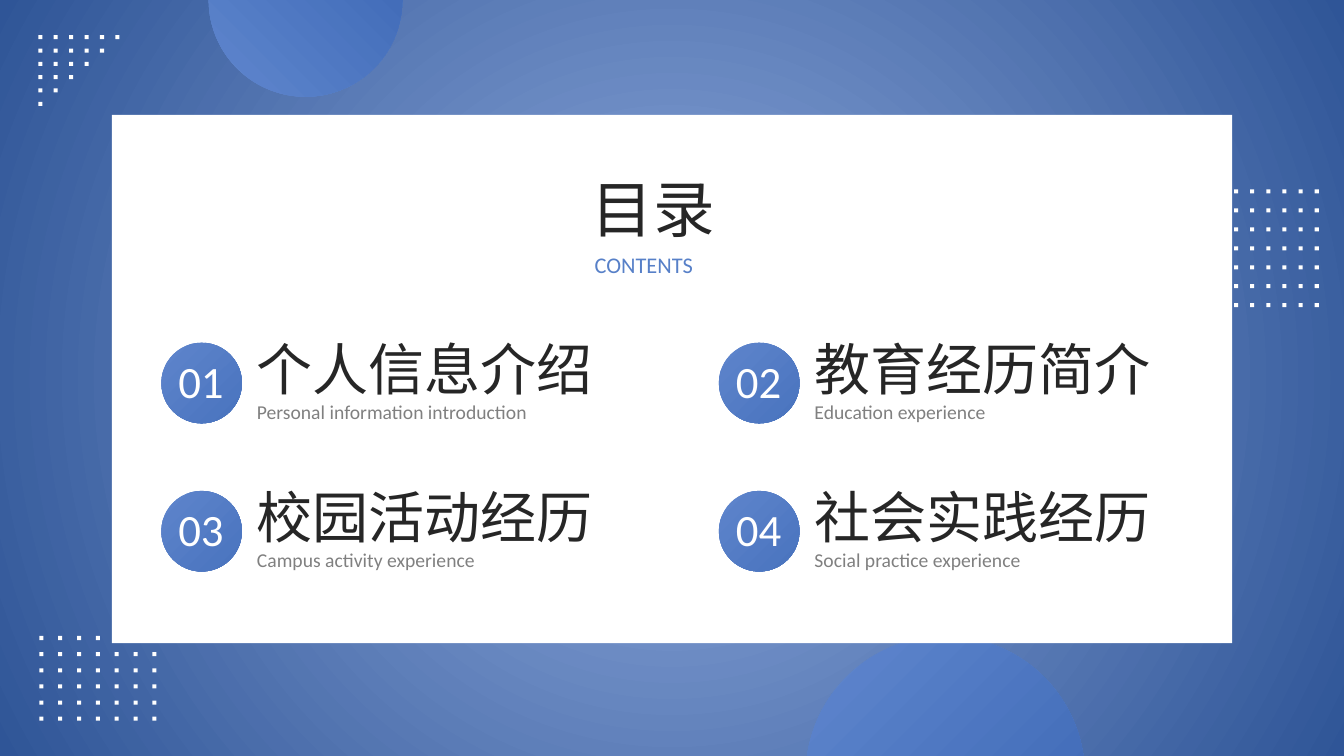
import pptx
import pptx.util
import pptx.dml.color
import pptx.enum.shapes
import pptx.enum.text
import pptx.oxml
import pptx.oxml.ns
import lxml.etree

WIDTH, HEIGHT = 13.33, 7.5
FONT = "Calibri"
WHITE, INK, BLUE, GREY = "FFFFFF", "262626", "5780C8", "808080"
BACKDROP = ("8FAADC", "2F5597")
BUBBLE = ("6087CE", "3864B2")
BADGE = ("5E85CC", "4973BE")

HEADING = [
    ("目录", (5.77, 1.65, 1.76, 0.84), 44, INK),
    ("CONTENTS", (5.8, 2.44, 1.65, 0.37), 16, BLUE),
]
SECTIONS = [
    ("01", "个人信息介绍", "Personal information introduction"),
    ("02", "教育经历简介", "Education experience"),
    ("03", "校园活动经历", "Campus activity experience"),
    ("04", "社会实践经历", "Social practice experience"),
]
SECTION_LEFT, SECTION_TOP = 1.6, 3.4
COLUMN_STEP, ROW_STEP = 5.53, 1.47

BUBBLES = [((2.07, -0.96, 1.92, 1.92), 270), ((7.99, 6.31, 2.77, 2.77), 0)]
DOT = 0.04
DOT_FIELDS = [
    ((0.38, 0.35), (0.153, 0.132), (6, 5, 4, 3, 2, 1)),
    ((0.39, 6.31), (0.187, 0.16), (4, 7, 7, 7, 7, 7)),
    ((12.24, 1.88), (0.16, 0.188), (6,) * 7),
]

RECT = pptx.enum.shapes.MSO_SHAPE.RECTANGLE
OVAL = pptx.enum.shapes.MSO_SHAPE.OVAL


def rgb(code):
    """Turn a hex string into a colour."""
    return pptx.dml.color.RGBColor.from_string(code)


def inches(box):
    """Turn a box in inches into lengths."""
    return [pptx.util.Inches(v) for v in box]


def add_shape(s, kind, box, colors, rotation=0):
    """Add a plain shape with one colour or a two-colour gradient."""
    sp = s.shapes.add_shape(kind, *inches(box))
    sp.shadow.inherit = False
    sp.line.fill.background()
    sp.rotation = rotation
    if isinstance(colors, str):
        sp.fill.solid()
        sp.fill.fore_color.rgb = rgb(colors)
    else:
        sp.fill.gradient()
        sp.fill.gradient_angle = 315
        for stop, position, code in zip(sp.fill.gradient_stops, (0, 1), colors):
            stop.position = position
            stop.color.rgb = rgb(code)
    return sp


def make_radial(sp):
    """Make a linear gradient spread from the centre."""
    qn = pptx.oxml.ns.qn
    lin = sp._element.spPr.find(".//" + qn("a:lin"))
    radial = lxml.etree.Element(qn("a:path"), path="circle")
    lxml.etree.SubElement(
        radial, qn("a:fillToRect"), l="50000", t="50000", r="50000", b="50000"
    )
    lin.getparent().replace(lin, radial)


def add_text(s, text, box, size, color):
    """Add a justified line of text."""
    tf = s.shapes.add_textbox(*inches(box)).text_frame
    tf.word_wrap = True
    tf.auto_size = pptx.enum.text.MSO_AUTO_SIZE.SHAPE_TO_FIT_TEXT
    p = tf.paragraphs[0]
    p.alignment = pptx.enum.text.PP_ALIGN.JUSTIFY
    r = p.add_run()
    r.text = text
    r.font.size = pptx.util.Pt(size)
    r.font.name = FONT
    r.font.color.rgb = rgb(color)
    lxml.etree.SubElement(r.font._element, pptx.oxml.ns.qn("a:ea"), typeface=FONT)


def add_dots(s, origin, pitch, rows):
    """Add rows of dots, each with its own count."""
    for row, count in enumerate(rows):
        for col in range(count):
            left = origin[0] + col * pitch[0]
            top = origin[1] + row * pitch[1]
            add_shape(s, RECT, (left, top, DOT, DOT), WHITE)


def add_section(s, index, number, title, subtitle):
    """Add one numbered entry of the contents grid."""
    row, col = divmod(index, 2)
    x = SECTION_LEFT + col * COLUMN_STEP
    y = SECTION_TOP + row * ROW_STEP
    add_shape(s, OVAL, (x, y, 0.8, 0.8), BADGE)
    add_text(s, number, (x + 0.07, y + 0.06, 0.69, 0.64), 32, WHITE)
    add_text(s, title, (x + 0.85, y - 0.13, 3.73, 0.77), 40, INK)
    add_text(s, subtitle, (x + 0.85, y + 0.52, 3.73, 0.34), 14, GREY)


def main():
    """Build the contents slide."""
    prs = pptx.Presentation()
    prs.slide_width, prs.slide_height = inches((WIDTH, HEIGHT))
    s = prs.slides.add_slide(prs.slide_layouts[6])
    make_radial(add_shape(s, RECT, (0, 0, WIDTH, HEIGHT), BACKDROP))
    for box, rotation in BUBBLES:
        add_shape(s, OVAL, box, BUBBLE, rotation)
    for field in DOT_FIELDS:
        add_dots(s, *field)
    add_shape(s, RECT, (1.11, 1.14, 11.11, 5.24), WHITE)
    for line in HEADING:
        add_text(s, *line)
    for index, section in enumerate(SECTIONS):
        add_section(s, index, *section)
    prs.save("out.pptx")


if __name__ == "__main__":
    main()
